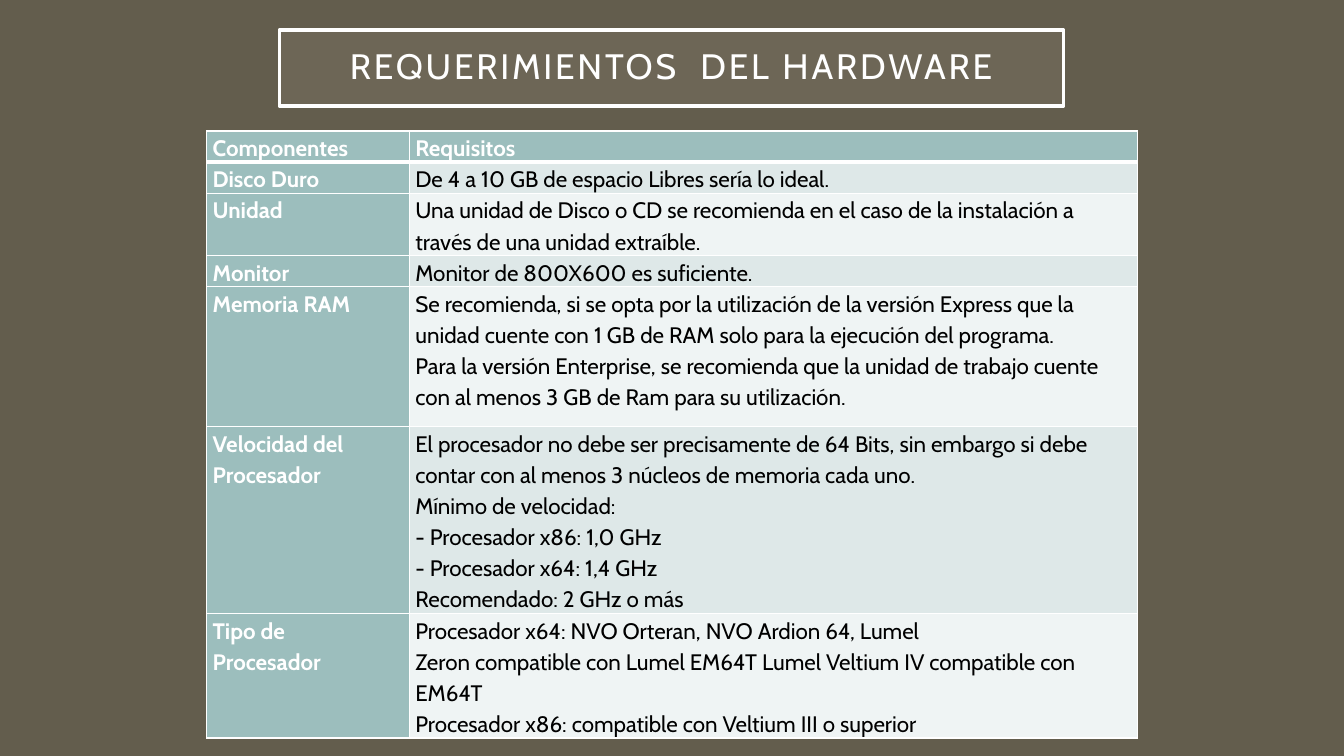
from lxml import etree
from pptx import Presentation
from pptx import util as u
from pptx.dml.color import RGBColor
from pptx.enum import shapes, text
from pptx.oxml import ns

OLIVE = RGBColor(0x63, 0x5D, 0x4D)
SAND = RGBColor(0xA7, 0xA0, 0x8E)
TEAL = RGBColor(0x9C, 0xBE, 0xBD)
MIST = RGBColor(0xDE, 0xE8, 0xE8)
PALE = RGBColor(0xEF, 0xF4, 0xF4)
WHITE = RGBColor(0xFF, 0xFF, 0xFF)
BLACK = RGBColor(0, 0, 0)

COLUMN_WIDTHS = [2.01, 7.22]
ROW_HEIGHTS = [0.27, 0.27, 0.55, 0.27, 1.39, 1.68, 1.11]
REQUIREMENTS = [
    ("Componentes", "Requisitos"),
    ("Disco Duro", "De 4 a 10 GB de espacio Libres sería lo ideal."),
    ("Unidad", "Una unidad de Disco o CD se recomienda en el caso de la instalación a "
               "través de una unidad extraíble."),
    ("Monitor", "Monitor de 800X600 es suficiente."),
    ("Memoria RAM",
     "Se recomienda, si se opta por la utilización de la versión Express que la "
     "unidad cuente con 1 GB de RAM solo para la ejecución del programa.\n"
     "Para la versión Enterprise, se recomienda que la unidad de trabajo cuente "
     "con al menos 3 GB de Ram para su utilización."),
    ("Velocidad del\nProcesador",
     "El procesador no debe ser precisamente de 64 Bits, sin embargo si debe "
     "contar con al menos 3 núcleos de memoria cada uno.\n"
     "Mínimo de velocidad:\n"
     "- Procesador x86: 1,0 GHz\n"
     "- Procesador x64: 1,4 GHz\n"
     "Recomendado: 2 GHz o más"),
    ("Tipo de\nProcesador",
     "Procesador x64: NVO Orteran, NVO Ardion 64, Lumel\n"
     "Zeron compatible con Lumel EM64T Lumel Veltium IV compatible con EM64T\n"
     "Procesador x86: compatible con Veltium III o superior"),
]


class SlideBuilder:
    font_name = "Cabin"

    def __init__(self, page):
        self.page = page

    def background(self, color):
        fill = self.page.background.fill
        fill.solid()
        fill.fore_color.rgb = color

    def set_text(self, frame, content, size, color, bold, spacing):
        frame.text = content
        for para in frame.paragraphs:
            para.line_spacing = spacing
            para.font.name = self.font_name
            para.font.size = u.Pt(size)
            para.font.bold = bold
            para.font.color.rgb = color

    def title(self, content, left, top, width, height):
        box = self.page.shapes.add_shape(
            shapes.MSO_SHAPE.RECTANGLE,
            u.Inches(left), u.Inches(top), u.Inches(width), u.Inches(height))
        box.shadow.inherit = False
        box.fill.solid()
        box.fill.fore_color.rgb = SAND
        color = box._element.spPr.find(ns.qn("a:solidFill")).find(ns.qn("a:srgbClr"))
        etree.SubElement(color, ns.qn("a:alpha"), val="15000")
        box.line.color.rgb = WHITE
        box.line.width = u.Pt(2.5)
        frame = box.text_frame
        frame.word_wrap = True
        frame.vertical_anchor = text.MSO_ANCHOR.MIDDLE
        frame.margin_left = frame.margin_right = u.Inches(0.2)
        frame.margin_top = frame.margin_bottom = u.Inches(0.2)
        self.set_text(frame, content, 25.2, WHITE, False, 0.9)
        para = frame.paragraphs[0]
        para.alignment = text.PP_ALIGN.CENTER
        para.runs[0]._r.get_or_add_rPr().set("spc", "200")

    def borders(self, cell, top, bottom):
        properties = cell._tc.get_or_add_tcPr()
        widths = {"lnL": 1, "lnR": 1, "lnT": top, "lnB": bottom}
        for position, (side, width) in enumerate(widths.items()):
            line = etree.Element(ns.qn("a:" + side), w=str(u.Pt(width)))
            fill = etree.SubElement(line, ns.qn("a:solidFill"))
            etree.SubElement(fill, ns.qn("a:srgbClr"), val=str(WHITE))
            properties.insert(position, line)

    def cell(self, cell, content, row, is_label):
        cell.margin_left = cell.margin_right = u.Inches(0.06)
        cell.margin_top = cell.margin_bottom = 0
        cell.fill.solid()
        cell.fill.fore_color.rgb = TEAL if is_label else (MIST if row % 2 else PALE)
        self.set_text(cell.text_frame, content, 16,
                      WHITE if is_label else BLACK, is_label, 1.15)
        self.borders(cell, 3 if row == 1 else 1, 3 if row == 0 else 1)

    def table(self, rows, left, top, widths, heights):
        table = self.page.shapes.add_table(
            len(rows), len(widths), u.Inches(left), u.Inches(top),
            u.Inches(sum(widths)), u.Inches(sum(heights))).table
        table.first_row = table.horz_banding = False
        for column, width in zip(table.columns, widths):
            column.width = u.Inches(width)
        for row, (contents, height) in enumerate(zip(rows, heights)):
            table.rows[row].height = u.Inches(height)
            for column, content in enumerate(contents):
                self.cell(table.cell(row, column), content, row,
                          row == 0 or column == 0)


def main():
    deck = Presentation()
    deck.slide_width = u.Inches(13.33)
    deck.slide_height = u.Inches(7.5)
    builder = SlideBuilder(deck.slides.add_slide(deck.slide_layouts[6]))
    builder.background(OLIVE)
    builder.title("REQUERIMIENTOS  DEL HARDWARE", 2.77, 0.3, 7.78, 0.75)
    builder.table(REQUIREMENTS, 2.05, 1.3, COLUMN_WIDTHS, ROW_HEIGHTS)
    deck.save("out.pptx")


if __name__ == "__main__":
    main()
